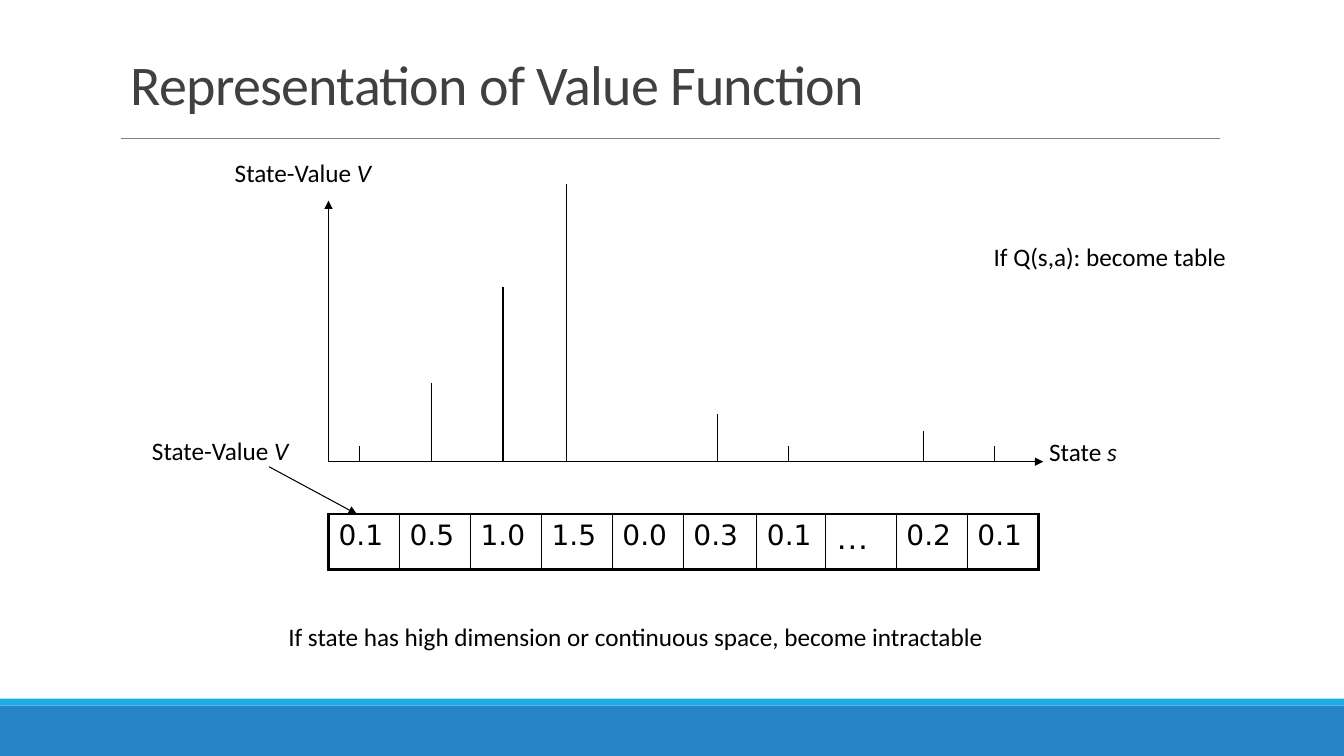
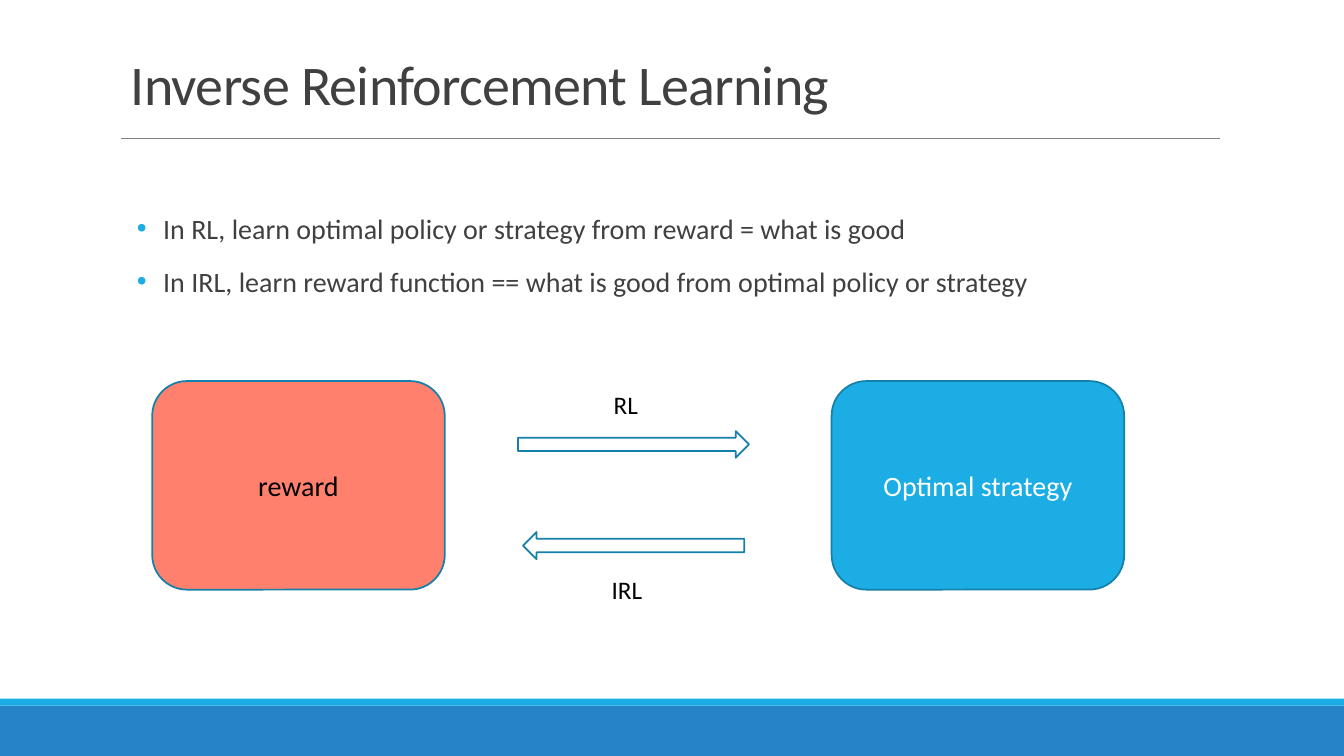
import pptx
import pptx.util
import pptx.dml.color
import pptx.enum.shapes
import pptx.enum.text
import pptx.oxml
import pptx.oxml.ns
from lxml import etree

Pt = pptx.util.Pt
Kind = pptx.enum.shapes.MSO_SHAPE
Align = pptx.enum.text.PP_ALIGN
Anchor = pptx.enum.text.MSO_ANCHOR
qn = pptx.oxml.ns.qn


class Theme:
    font, digits, dots = "Calibri", "DejaVu Sans", "Arial"
    head, body, note, dot = 40, 20, 18, 24
    black, white, dark, gray = "000000", "FFFFFF", "404040", "808080"
    blue, sky, edge, coral = "2683C6", "1CADE4", "1580A9", "FF816D"


SIZE = (960, 540)

# Value function: a label is (plain part, italic part, left, top, width, align)
LABELS = [
    ("State-Value ", "V", 160.6, 108.7, 125, Align.LEFT),
    ("State-Value ", "V", 101.5, 307.4, 125, Align.LEFT),
    ("State ", "s", 742.3, 308.2, 80, Align.LEFT),
    ("If Q(s,a): become table", "", 702.7, 168.5, 219, Align.LEFT),
    ("If state has high dimension or continuous space, become intractable",
     "", 174, 440.6, 560, Align.CENTER),
]
VALUES = ["0.1", "0.5", "1.0", "1.5", "0.0", "0.3", "0.1", "…", "0.2", "0.1"]
WIDTHS = [50.7] * 5 + [52.5, 49] + [50.7] * 3
ORIGIN = (234.7, 329.8)
AXES = [(745.2, 329.8), (234.7, 143.3)]
STEMS = [(257, 11), (308.2, 56), (359.3, 124.6), (404.6, 198),
         (512.6, 34), (563, 11), (659.5, 22), (710.6, 11)]  # x, height
ROW = (367.2, 39.6)  # top, height

# Inverse reinforcement learning
POINTS = [
    "In RL, learn optimal policy or strategy from reward = what is good",
    "In IRL, learn reward function == what is good from optimal policy or strategy",
]
BOXES = [("reward", 108.7, Theme.coral, Theme.black),
         ("Optimal strategy", 594, Theme.sky, Theme.white)]
ARROWS = [("RL", (431.3, 274.3), Kind.RIGHT_ARROW, (370, 308, 165, 19)),
          ("IRL", (429.8, 406.8), Kind.LEFT_ARROW, (373.6, 380, 158, 19.4))]


def rgb(code):
    return pptx.dml.color.RGBColor.from_string(code)


def write(frame, paras, *, size=Theme.note, color=Theme.black, font=Theme.font,
          align=Align.LEFT, anchor=Anchor.TOP, spc=None, lead=None, after=None,
          bullet=None):
    """Fill a frame; a paragraph is a tuple (plain part, italic part)."""
    frame.word_wrap = True
    frame.vertical_anchor = anchor
    for i, parts in enumerate(paras):
        para = frame.add_paragraph() if i else frame.paragraphs[0]
        para.alignment = align
        if lead:
            para.line_spacing = lead
        if after is not None:
            para.space_after = Pt(after)
        if bullet:
            mark(para, bullet)
        for j, part in enumerate(parts):
            if not part:
                continue
            run = para.add_run()
            run.text = part
            run.font.size = Pt(size)
            run.font.name = font
            run.font.color.rgb = rgb(color)
            if j:
                run.font.italic = True
            if spc:
                run.font._element.set("spc", str(round(spc * 100)))


def mark(para, color):
    """Give a paragraph a hanging, coloured bullet."""
    props = para._p.get_or_add_pPr()
    props.set("marL", str(Pt(30.2)))
    props.set("indent", str(Pt(-18.7)))
    tint = etree.SubElement(props, qn("a:buClr"))
    etree.SubElement(tint, qn("a:srgbClr"), val=color)
    etree.SubElement(props, qn("a:buFont"), typeface="Arial")
    etree.SubElement(props, qn("a:buChar"), char="•")


def label(slide, paras, box, **style):
    shape = slide.shapes.add_textbox(*map(Pt, box))
    write(shape.text_frame, paras, **style)
    return shape


def block(slide, kind, box, fill, edge=None):
    shape = slide.shapes.add_shape(kind, *map(Pt, box))
    shape.shadow.inherit = False
    shape.fill.solid()
    shape.fill.fore_color.rgb = rgb(fill)
    if edge:
        shape.line.color.rgb = rgb(edge)
        shape.line.width = Pt(1.25)
    else:
        shape.line.fill.background()
    return shape


def line(slide, start, end, color=Theme.black, width=0.75, arrow=False):
    straight = pptx.enum.shapes.MSO_CONNECTOR.STRAIGHT
    link = slide.shapes.add_connector(straight, *map(Pt, start + end))
    link.line.color.rgb = rgb(color)
    link.line.width = Pt(width)
    if arrow:
        etree.SubElement(link.line._get_or_add_ln(), qn("a:tailEnd"), type="triangle")
    etree.SubElement(link._element.spPr, qn("a:effectLst"))


def border(cell, sides):
    """Draw black cell borders; sides gives widths for L, R, T, B."""
    props = cell._tc.get_or_add_tcPr()
    for i, (side, width) in enumerate(zip("LRTB", sides)):
        edge = etree.Element(qn("a:ln" + side), w=str(Pt(width)))
        fill = etree.SubElement(edge, qn("a:solidFill"))
        etree.SubElement(fill, qn("a:srgbClr"), val=Theme.black)
        props.insert(i, edge)


def start(deck, title):
    """Add a slide with the shared bands, rule and title."""
    slide = deck.slides.add_slide(deck.slide_layouts[6])
    block(slide, Kind.RECTANGLE, (0, 504, SIZE[0], 36), Theme.blue)
    block(slide, Kind.RECTANGLE, (0, 499, SIZE[0], 5), Theme.sky)
    line(slide, (86.4, 98.6), (871.2, 98.6), Theme.gray, 0.5)
    label(slide, [(title,)], (86.4, 21.6, 792, 65.5), size=Theme.head,
          color=Theme.dark, anchor=Anchor.BOTTOM, spc=-0.5, lead=0.85)
    return slide


def strip(slide):
    """Add the one-row table of state values."""
    top, high = ROW
    box = (ORIGIN[0], top, sum(WIDTHS), high)
    table = slide.shapes.add_table(1, len(VALUES), *map(Pt, box)).table
    table.first_row = table.horz_banding = False
    last = len(VALUES) - 1
    for i, (value, width) in enumerate(zip(VALUES, WIDTHS)):
        table.columns[i].width = Pt(width)
        cell = table.cell(0, i)
        cell.fill.background()
        border(cell, (1 if i else 2.25, 1 if i < last else 2.25, 2.25, 2.25))
        dots = value == "…"
        write(cell.text_frame, [(value,)],
              size=Theme.dot if dots else Theme.body,
              font=Theme.dots if dots else Theme.digits)


def values(deck):
    slide = start(deck, "Representation of Value Function")
    strip(slide)
    for plain, italic, left, top, width, align in LABELS:
        label(slide, [(plain, italic)], (left, top, width, 28.8), align=align)
    line(slide, (192.2, 333.4), (254.9, ROW[0]), arrow=True)
    for end in AXES:
        line(slide, ORIGIN, end, arrow=True)
    base = ORIGIN[1]
    for x, high in STEMS:
        line(slide, (x, base), (x, base - high))


def inverse(deck):
    slide = start(deck, "Inverse Reinforcement Learning")
    body = label(slide, [(point,) for point in POINTS], (86.4, 147.4, 792, 90),
                 size=Theme.body, color=Theme.dark, after=14, bullet=Theme.sky)
    body.text_frame.margin_left = body.text_frame.margin_right = 0
    for name, left, fill, color in BOXES:
        shape = block(slide, Kind.ROUNDED_RECTANGLE, (left, 272.2, 209, 149),
                      fill, Theme.edge)
        write(shape.text_frame, [(name,)], size=Theme.body, color=color,
              align=Align.CENTER, anchor=Anchor.MIDDLE)
    for name, spot, kind, box in ARROWS:
        block(slide, kind, box, Theme.white, Theme.edge)
        label(slide, [(name,)], spot + (45, 28.8))


def main():
    deck = pptx.Presentation()
    deck.slide_width, deck.slide_height = map(Pt, SIZE)
    values(deck)
    inverse(deck)
    deck.save("out.pptx")


if __name__ == "__main__":
    main()
